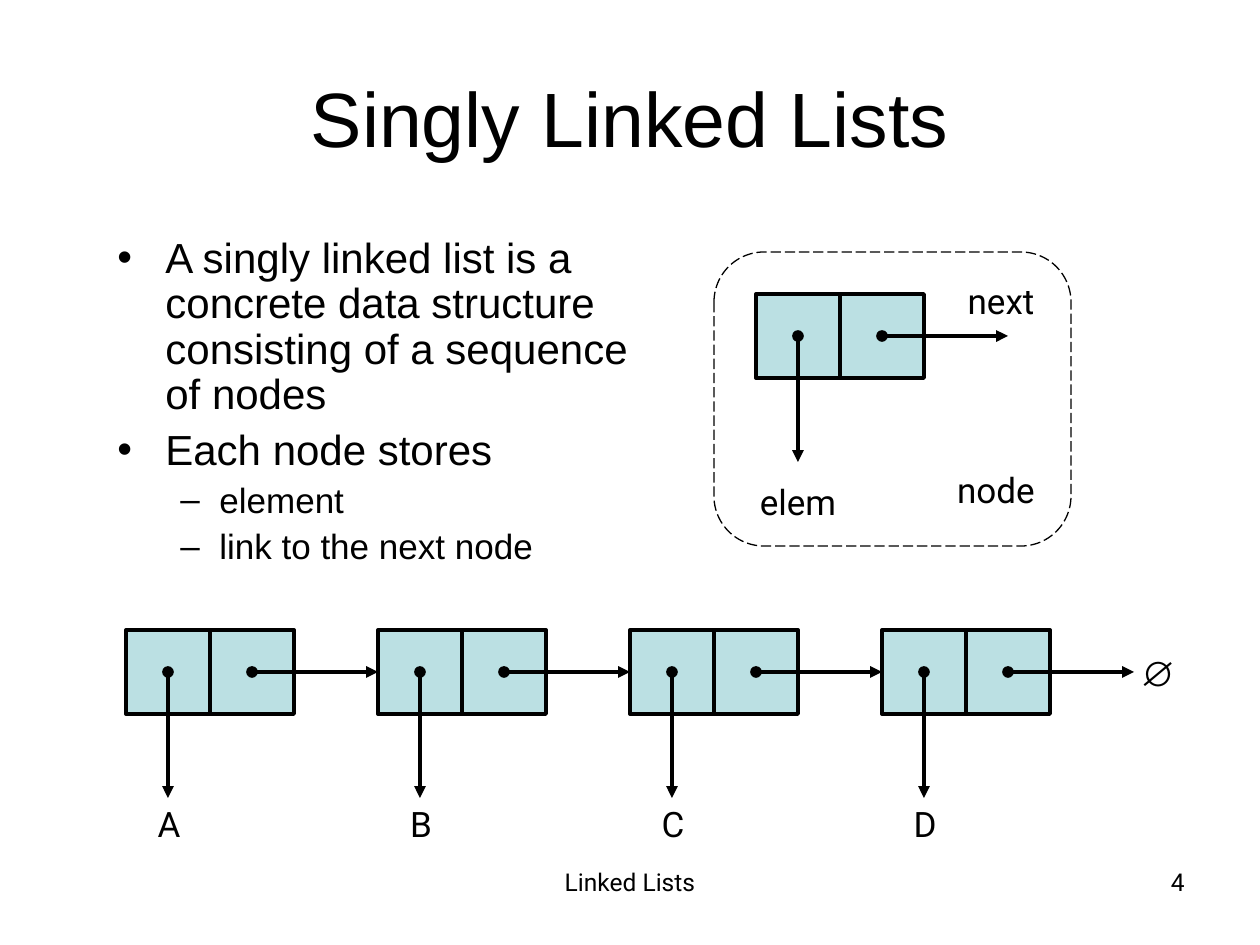
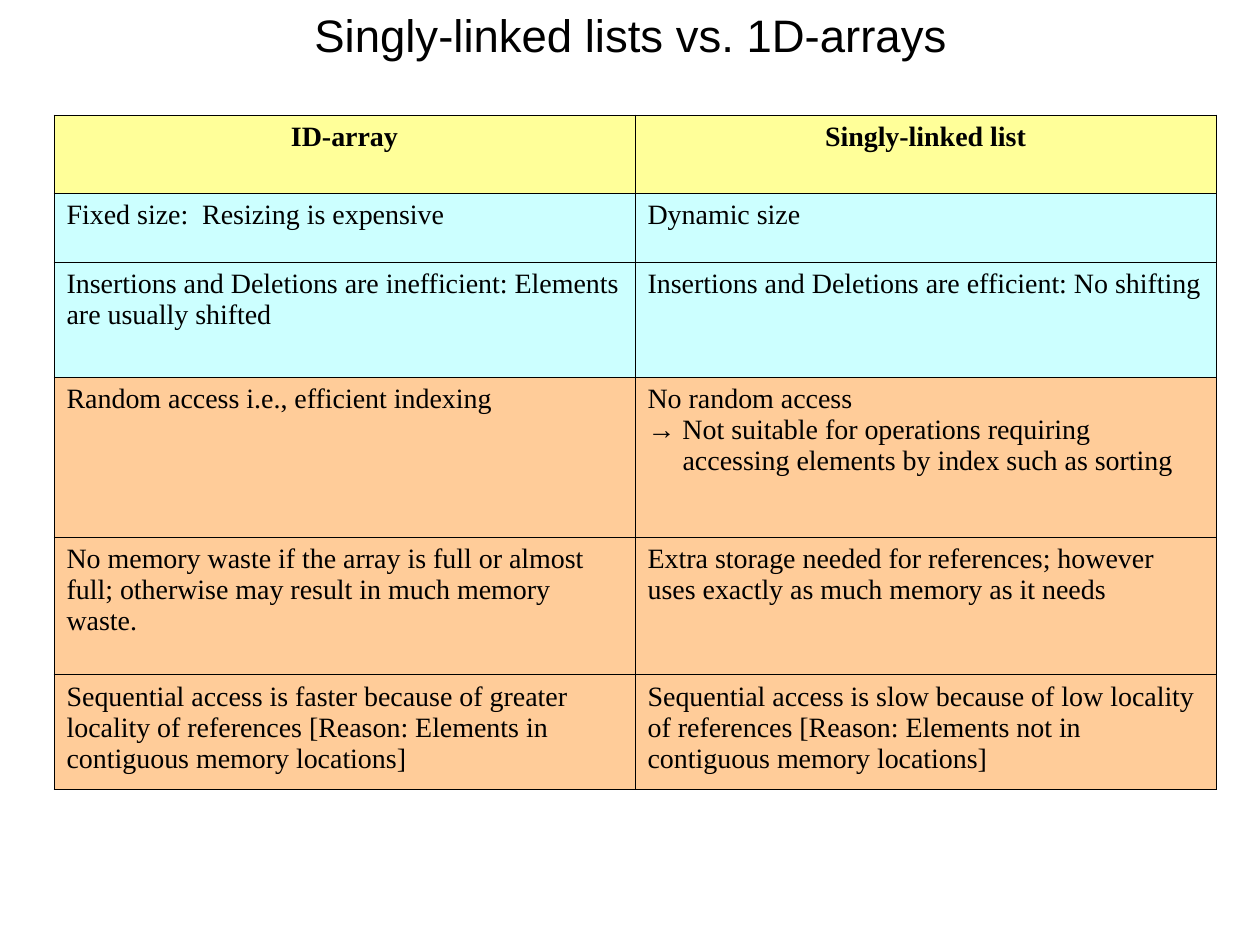
from lxml.etree import SubElement
from pptx import Presentation
from pptx.dml.color import RGBColor
from pptx.enum.dml import MSO_LINE
from pptx.enum.shapes import MSO_CONNECTOR, MSO_SHAPE
from pptx.enum.text import MSO_ANCHOR, PP_ALIGN
from pptx.oxml.ns import qn
from pptx.util import Pt

EMU_PER_PX = 914400 / 126
BLACK = "000000"
NODE_FILL = "BBE0E3"
HEADER_FILL, SIZE_FILL, ACCESS_FILL = "FFFF99", "CCFFFF", "FFCC99"
SANS, LABEL_FONT, TABLE_FONT = "Arial", "Roboto", "Times New Roman"
CELL = 84
ARROW = 126
NODE_PITCH = 3 * CELL

BULLETS = [
    ("A singly linked list is a concrete data structure consisting of a sequence of nodes", 0),
    ("Each node stores", 0),
    ("element", 1),
    ("link to the next node", 1),
]
# bullet sign, size, space before, left margin, hanging indent
BULLET_LEVELS = [("•", 24, 6, 48, 48), ("–", 20, 5, 102, 39)]

# row height, fill, array text, list text
COMPARISON = [
    (78, HEADER_FILL, "ID-array", "Singly-linked list"),
    (69, SIZE_FILL, "Fixed size:  Resizing is expensive", "Dynamic size"),
    (115, SIZE_FILL,
     "Insertions and Deletions are inefficient: Elements are usually shifted",
     "Insertions and Deletions are efficient: No shifting"),
    (160, ACCESS_FILL, "Random access i.e., efficient indexing", "No random access"),
    (138, ACCESS_FILL,
     "No memory waste if the array is full or almost full; otherwise may result in "
     "much memory waste.",
     "Extra storage needed for references; however uses exactly as much memory as it needs"),
    (115, ACCESS_FILL,
     "Sequential access is faster because of greater locality of references "
     "[Reason: Elements in contiguous memory locations]",
     "Sequential access is slow because of low locality of references "
     "[Reason: Elements not in contiguous memory locations]"),
]


def px(length):
    return round(length * EMU_PER_PX)


def color(hex_string):
    return RGBColor.from_string(hex_string)


def add_run(paragraph, text, size, font, bold=False):
    run = paragraph.add_run()
    run.text = text
    run.font.size = Pt(size)
    run.font.name = font
    run.font.bold = bold
    run.font.color.rgb = color(BLACK)


def add_text_frame(slide, box, wrap=True):
    frame = slide.shapes.add_textbox(*map(px, box)).text_frame
    frame.word_wrap = wrap
    return frame


def add_line_of_text(slide, box, text, size, font, align=PP_ALIGN.CENTER,
                     anchor=MSO_ANCHOR.TOP, wrap=True, bold=False):
    frame = add_text_frame(slide, box, wrap)
    frame.vertical_anchor = anchor
    paragraph = frame.paragraphs[0]
    paragraph.alignment = align
    add_run(paragraph, text, size, font, bold)


def add_title(slide, box, text, size):
    add_line_of_text(slide, box, text, size, SANS, anchor=MSO_ANCHOR.MIDDLE)


def add_label(slide, center, top, text, font=LABEL_FONT, bold=False):
    add_line_of_text(slide, (center - 52, top, 104, 55), text, 20, font, wrap=False, bold=bold)


def add_footer(slide, top, text, number):
    add_line_of_text(slide, (430, top, 400, 65), text, 14, LABEL_FONT)
    add_line_of_text(slide, (903, top, 294, 65), number, 14, LABEL_FONT, PP_ALIGN.RIGHT)


def indent(paragraph, margin, hanging=0):
    properties = paragraph._p.get_or_add_pPr()
    properties.set("marL", str(px(margin)))
    properties.set("indent", str(-px(hanging)))
    return properties


def add_bullets(slide, box):
    frame = add_text_frame(slide, box)
    for index, (text, level) in enumerate(BULLETS):
        sign, size, before, margin, hanging = BULLET_LEVELS[level]
        paragraph = frame.add_paragraph() if index else frame.paragraphs[0]
        paragraph.level = level
        paragraph.line_spacing = 0.9
        paragraph.space_before = Pt(before)
        properties = indent(paragraph, margin, hanging)
        SubElement(properties, qn("a:buFont"), typeface=SANS)
        SubElement(properties, qn("a:buChar"), char=sign)
        add_run(paragraph, text, size, SANS)


def add_outlined_shape(slide, kind, box, line_width):
    shape = slide.shapes.add_shape(kind, *map(px, box))
    shape.shadow.inherit = False
    shape.fill.background()
    shape.line.color.rgb = color(BLACK)
    shape.line.width = Pt(line_width)
    return shape


def add_pointer(slide, left, top, across, down):
    """Arrow that starts with a dot."""
    connector = slide.shapes.add_connector(
        MSO_CONNECTOR.STRAIGHT, *map(px, (left, top, left + across, top + down)))
    connector.line.color.rgb = color(BLACK)
    connector.line.width = Pt(2.25)
    line = connector.line._get_or_add_ln()
    SubElement(line, qn("a:headEnd"), type="oval")
    SubElement(line, qn("a:tailEnd"), type="triangle")
    SubElement(connector._element.spPr, qn("a:effectLst"))


def add_node(slide, left, top):
    """Element cell and link cell, each with its pointer."""
    for offset in (0, CELL):
        cell = add_outlined_shape(
            slide, MSO_SHAPE.RECTANGLE, (left + offset, top, CELL, CELL), 2.25)
        cell.fill.solid()
        cell.fill.fore_color.rgb = color(NODE_FILL)
    middle = top + CELL // 2
    add_pointer(slide, left + CELL // 2, middle, 0, ARROW)
    add_pointer(slide, left + CELL * 3 // 2, middle, ARROW, 0)


def add_node_legend(slide, left, top, width, height):
    frame = add_outlined_shape(
        slide, MSO_SHAPE.ROUNDED_RECTANGLE, (left, top, width, height), 0.75)
    frame.adjustments[0] = 0.17
    frame.line.dash_style = MSO_LINE.LONG_DASH
    add_node(slide, left + 42, top + 42)
    add_label(slide, left + 287, top + 21, "next")
    add_label(slide, left + 84, top + 222, "elem")
    add_label(slide, left + 282, top + 210, "node")


def add_linked_list(slide, left, top, elements):
    for index, element in enumerate(elements):
        node_left = left + index * NODE_PITCH
        add_node(slide, node_left, top)
        add_label(slide, node_left + CELL // 2 + 1, top + 166, element)
    add_label(slide, left + len(elements) * NODE_PITCH + 24, top + 15, "∅", SANS, True)


def style_cell(cell, fill):
    properties = cell._tc.get_or_add_tcPr()
    for side in ("lnL", "lnR", "lnT", "lnB"):
        border = SubElement(properties, qn(f"a:{side}"), w=str(Pt(0.45)))
        border_fill = SubElement(border, qn("a:solidFill"))
        SubElement(border_fill, qn("a:srgbClr"), val=BLACK)
    cell.fill.solid()
    cell.fill.fore_color.rgb = color(fill)


def add_access_consequence(frame):
    paragraph = frame.add_paragraph()
    add_run(paragraph, "→", 16, SANS)
    add_run(paragraph, " Not suitable for operations requiring", 16, TABLE_FONT)
    paragraph = frame.add_paragraph()
    indent(paragraph, 35)
    add_run(paragraph, "accessing elements by index such as sorting", 16, TABLE_FONT)


def add_comparison_table(slide, left, top, width):
    height = sum(row[0] for row in COMPARISON)
    table = slide.shapes.add_table(
        len(COMPARISON), 2, *map(px, (left, top, width, height))).table
    table.first_row = table.horz_banding = False
    for row_index, (row_height, fill, *texts) in enumerate(COMPARISON):
        is_header = row_index == 0
        table.rows[row_index].height = px(row_height)
        for column_index, text in enumerate(texts):
            cell = table.cell(row_index, column_index)
            style_cell(cell, fill)
            paragraph = cell.text_frame.paragraphs[0]
            paragraph.alignment = PP_ALIGN.CENTER if is_header else PP_ALIGN.LEFT
            add_run(paragraph, text, 16, TABLE_FONT, is_header)
    add_access_consequence(table.cell(3, 1).text_frame)


def build_list_slide(slide):
    add_footer(slide, 861, "Linked Lists", "4")
    add_title(slide, (63, 38, 1134, 157), "Singly Linked Lists", 44)
    add_bullets(slide, (105, 231, 567, 346))
    add_node_legend(slide, 714, 252, 357, 294)
    add_linked_list(slide, 126, 630, "ABCD")


def build_comparison_slide(slide):
    add_title(slide, (64, 0, 1134, 69), "Singly-linked lists vs. 1D-arrays", 26)
    add_comparison_table(slide, 54, 115, 1162)


def main():
    presentation = Presentation()
    presentation.slide_width = px(1260)
    presentation.slide_height = px(945)
    blank = presentation.slide_layouts[6]
    for build in (build_list_slide, build_comparison_slide):
        build(presentation.slides.add_slide(blank))
    presentation.save("out.pptx")


if __name__ == "__main__":
    main()
